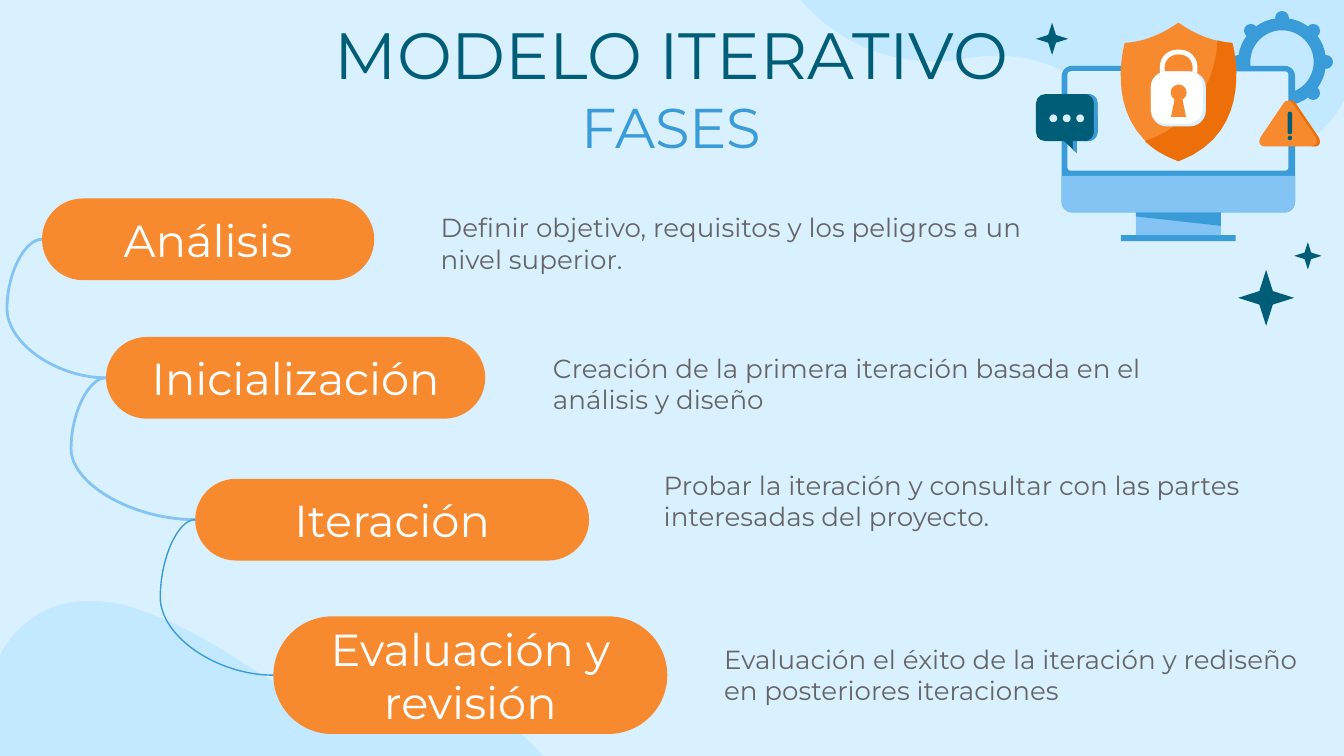
from itertools import pairwise
from math import cos, pi, sin

from lxml import etree
from pptx import Presentation
from pptx.dml.color import RGBColor
from pptx.enum.shapes import MSO_CONNECTOR, MSO_SHAPE
from pptx.enum.text import MSO_ANCHOR, PP_ALIGN
from pptx.oxml.ns import qn
from pptx.util import Pt

FONT = "Montserrat"
PALE = RGBColor(0xD9, 0xF1, 0xFF)
WAVE = RGBColor(0xC2, 0xE9, 0xFF)
SKY = RGBColor(0x84, 0xC4, 0xF4)
BLUE = RGBColor(0x39, 0x9B, 0xD8)
TEAL = RGBColor(0x00, 0x5D, 0x77)
ORANGE = RGBColor(0xF7, 0x8A, 0x2F)
RUST = RGBColor(0xEC, 0x6F, 0x09)
WHITE = RGBColor(0xFF, 0xFF, 0xFF)
GRAY = RGBColor(0x66, 0x64, 0x66)

WIDTH, HEIGHT = 720, 405
INSET = 7.2
BULGE = 18.75  # how far each connector swings out to the left
FINENESS = 100  # outline units in a point

# name, pill box, description, description box
PHASES = [
    ("Análisis", (22.5, 106.3, 178, 43.8),
     "Definir objetivo, requisitos y los peligros a un nivel superior.",
     (229, 106.2, 326, 40)),
    ("Inicialización", (56.8, 180.5, 203.2, 43.8),
     "Creación de la primera iteración basada en el análisis y diseño",
     (289.2, 181.5, 344, 40)),
    ("Iteración", (104.6, 256.5, 211, 43.8),
     "Probar la iteración y consultar con las partes interesadas del proyecto.",
     (348.5, 244, 326, 63)),
    ("Evaluación y revisión", (146.5, 330.2, 211, 63),
     "Evaluación el éxito de la iteración y rediseño en posteriores iteraciones",
     (380.8, 337.2, 326, 40)),
]
CONNECTOR_STYLES = [(SKY, 1.5), (SKY, 1.5), (BLUE, 0.75)]

# Outlines: a start point, then (end,) for a line or
# (control, control, end) for a curve
WAVE_START = (0, 405)
WAVE_STEPS = [
    ((0, 351.4),),
    ((0, 351.4), (12, 322), (48, 322)),
    ((56, 322), (66, 323), (77, 327.6)),
    ((129, 346), (144, 375.1), (185, 375.1)),
    ((191, 375.1), (197, 374.5), (204, 373.5)),
    ((209.5, 372.2), (215, 372.2), (221, 372.2)),
    ((266, 372.2), (291, 405), (291, 405)),
]
SHIELD_SIDE = ((674, 70.6), (660.2, 23), (660.2, 23))
SIGN_SIDE = [
    ((707, 78.5), (707.8, 76.3), (706.3, 73.4)),
    ((694.1, 55.4),),
    ((693.4, 54), (692, 54), (691.2, 54)),
]


def paint(shape, color):
    shape.shadow.inherit = False
    shape.fill.solid()
    shape.fill.fore_color.rgb = color
    shape.line.fill.background()


def add_preset(slide, kind, box, color, *adjustments):
    shape = slide.shapes.add_shape(kind, *map(Pt, box))
    paint(shape, color)
    for index, value in enumerate(adjustments):
        shape.adjustments[index] = value
    return shape


def add_rounded(slide, box, color, radius):
    return add_preset(slide, MSO_SHAPE.ROUNDED_RECTANGLE, box, color, radius / min(box[2:]))


def add_circle(slide, center_x, center_y, radius, color):
    box = (center_x - radius, center_y - radius, 2 * radius, 2 * radius)
    add_preset(slide, MSO_SHAPE.OVAL, box, color)


def curve_points(start, first, second, end, count=16):
    for step in range(1, count + 1):
        t = step / count
        weights = ((1 - t) ** 3, 3 * t * (1 - t) ** 2, 3 * t * t * (1 - t), t ** 3)
        corners = (start, first, second, end)
        yield tuple(sum(w * c[axis] for w, c in zip(weights, corners)) for axis in (0, 1))


def add_outline(slide, color, start, steps):
    points = [start]
    for step in steps:
        points.extend(step if len(step) == 1 else curve_points(points[-1], *step))
    fine = [(round(x * FINENESS), round(y * FINENESS)) for x, y in points]
    builder = slide.shapes.build_freeform(*fine[0], scale=Pt(1) / FINENESS)
    builder.add_line_segments(fine[1:])
    paint(builder.convert_to_shape(), color)


def add_polygon(slide, color, *points):
    add_outline(slide, color, points[0], [(point,) for point in points[1:]])


def add_line_of_text(paragraph, text, size, color, alignment):
    paragraph.alignment = alignment
    run = paragraph.add_run()
    run.text = text
    run.font.name = FONT
    run.font.size = Pt(size)
    run.font.color.rgb = color


def prepare_frame(shape, anchor):
    frame = shape.text_frame
    frame.word_wrap = True
    frame.vertical_anchor = anchor
    frame.margin_left = frame.margin_right = Pt(INSET)
    frame.margin_top = frame.margin_bottom = Pt(INSET)
    return frame


def add_text(slide, box, lines, alignment=PP_ALIGN.LEFT):
    frame = prepare_frame(slide.shapes.add_textbox(*map(Pt, box)), MSO_ANCHOR.TOP)
    for index, line in enumerate(lines):
        paragraph = frame.add_paragraph() if index else frame.paragraphs[0]
        add_line_of_text(paragraph, *line, alignment)


def add_pill(slide, box, text):
    pill = add_preset(slide, MSO_SHAPE.ROUNDED_RECTANGLE, box, ORANGE, 0.5)
    frame = prepare_frame(pill, MSO_ANCHOR.MIDDLE)
    add_line_of_text(frame.paragraphs[0], text, 24, WHITE, PP_ALIGN.CENTER)
    return pill


def add_curve(slide, upper, lower, color, width):
    connector = slide.shapes.add_connector(MSO_CONNECTOR.CURVE, 0, 0, 0, 0)
    connector.begin_connect(upper, 1)
    connector.end_connect(lower, 1)
    connector.line.color.rgb = color
    connector.line.width = Pt(width)
    properties = connector._element.spPr
    etree.SubElement(properties, qn("a:effectLst"))
    guides = properties.find(qn("a:prstGeom")).find(qn("a:avLst"))
    bend = round(-100000 * Pt(BULGE) / connector.width)
    etree.SubElement(guides, qn("a:gd"), name="adj1", fmla=f"val {bend}")


def add_waves(slide):
    def turn(point):
        return WIDTH - point[0], HEIGHT - point[1]

    add_outline(slide, WAVE, WAVE_START, WAVE_STEPS)
    turned = [tuple(map(turn, step)) for step in WAVE_STEPS]
    add_outline(slide, WAVE, turn(WAVE_START), turned)


def add_gear(slide, center_x, center_y, radius):
    box = (center_x - radius, center_y - radius, 2 * radius, 2 * radius)
    add_preset(slide, MSO_SHAPE.DONUT, box, BLUE, 0.14)
    # Teeth from the left, over the top, to the lower right
    for tooth in range(-4, 2):
        angle = tooth * pi / 4
        add_circle(slide, center_x + radius * cos(angle), center_y + radius * sin(angle), 3.7, BLUE)


def add_monitor(slide):
    add_rounded(slide, (568.8, 35.3, 125, 78.5), BLUE, 5.5)
    add_preset(slide, MSO_SHAPE.ROUND_2_SAME_RECTANGLE, (568.8, 94.3, 125, 19.5), SKY, 0, 0.28)
    add_rounded(slide, (571.8, 38.2, 118.5, 53.3), PALE, 2)
    add_preset(slide, MSO_SHAPE.RECTANGLE, (600.5, 126, 61.5, 3.2), BLUE)
    add_preset(slide, MSO_SHAPE.RECTANGLE, (608.5, 113.8, 45.5, 12.2), SKY)
    add_polygon(slide, BLUE, (608.5, 113.8), (654, 113.8), (654, 121), (608.5, 116))


def add_shield(slide):
    add_outline(slide, ORANGE, (631.4, 12.2), [
        ((627.8, 14.4), (617, 22.3), (602.6, 23)),
        ((602.6, 23), (588.5, 70.6), (631.4, 86.4)),
        SHIELD_SIDE,
        ((645.8, 22.3), (634.5, 14.4), (631.4, 12.2)),
    ])
    add_outline(slide, RUST, (652.3, 21.6), [
        ((651, 47.5), (635, 69), (613.4, 75.6)),
        ((617.8, 80), (623.5, 83.5), (631.4, 86.4)),
        SHIELD_SIDE,
        ((657.4, 23), (654.5, 22.3), (652.3, 21.6)),
    ])
    # Padlock
    shackle = add_rounded(slide, (622.6, 27.9, 17.6, 17.6), WHITE, 8)
    shackle.fill.background()
    shackle.line.color.rgb = WHITE
    shackle.line.width = Pt(2.6)
    add_rounded(slide, (616.5, 38.2, 29.5, 29.5), PALE, 8.6)
    add_rounded(slide, (616.5, 38.2, 28, 28.3), WHITE, 8.6)
    add_circle(slide, 631.4, 49.6, 4.3, ORANGE)
    add_polygon(slide, ORANGE, (629.5, 52), (633.3, 52), (635.4, 62.6), (627.4, 62.6))


def add_bubble(slide):
    add_rounded(slide, (555, 50.4, 33, 25.2), TEAL, 5)
    add_outline(slide, BLUE, (581, 50.4), [
        ((583.9, 50.4), (586, 52.6), (586, 55.4)),
        ((586, 70.6),),
        ((586, 73.4), (583.9, 75.6), (581, 75.6)),
        ((583, 75.6),),
        ((585.8, 75.6), (588, 73.4), (588, 70.6)),
        ((588, 55.4),),
        ((588, 52.6), (585.8, 50.4), (583, 50.4)),
    ])
    add_polygon(slide, TEAL, (570, 75.5), (576.8, 82), (576.8, 75.5))
    add_polygon(slide, BLUE, (574.8, 75.5), (574.8, 80), (576.8, 82), (576.8, 75.5))
    for index in range(3):
        add_circle(slide, 564.3 + 7.2 * index, 63.4, 2.1, PALE)


def add_warning(slide):
    add_outline(slide, ORANGE, (691.2, 54), [
        ((689.8, 54), (688.3, 54), (687.6, 55.4)),
        ((675.4, 73.4),),
        ((674, 76.3), (674.6, 78.5), (678.2, 78.5)),
        ((704.2, 78.5),), *SIGN_SIDE,
    ])
    add_outline(slide, RUST, (689.8, 54), [
        ((691.2, 54), (692, 54.7), (692.6, 55.4)),
        ((704.9, 73.4),),
        ((706.3, 76.3), (704.9, 78.5), (702, 78.5)),
        ((704.2, 78.5),), *SIGN_SIDE,
    ])
    add_rounded(slide, (689.8, 59.8, 2.4, 12.2), TEAL, 1.2)
    add_circle(slide, 691, 73.9, 1.2, TEAL)


def main():
    presentation = Presentation()
    presentation.slide_width, presentation.slide_height = Pt(WIDTH), Pt(HEIGHT)
    slide = presentation.slides.add_slide(presentation.slide_layouts[6])
    slide.background.fill.solid()
    slide.background.fill.fore_color.rgb = PALE

    # Background and heading
    add_waves(slide)
    heading = [("MODELO ITERATIVO", 35, TEAL), ("FASES", 30, BLUE)]
    add_text(slide, (56.5, 0.3, 606.5, 53), heading, PP_ALIGN.CENTER)

    # Security illustration
    add_gear(slide, 686.8, 33.2, 23.6)
    for left, top, size in [(663.3, 144.6, 30), (555, 12.2, 17.3), (693.3, 129.7, 14.7)]:
        add_preset(slide, MSO_SHAPE.STAR_4_POINT, (left, top, size, size), TEAL, 0.17)
    add_monitor(slide)
    add_shield(slide)
    add_bubble(slide)
    add_warning(slide)

    # Phases and the curves between them
    pills = []
    for name, pill_box, description, text_box in PHASES:
        pills.append(add_pill(slide, pill_box, name))
        add_text(slide, text_box, [(description, 14, GRAY)])
    for (upper, lower), style in zip(pairwise(pills), CONNECTOR_STYLES):
        add_curve(slide, upper, lower, *style)

    presentation.save("out.pptx")


if __name__ == "__main__":
    main()
